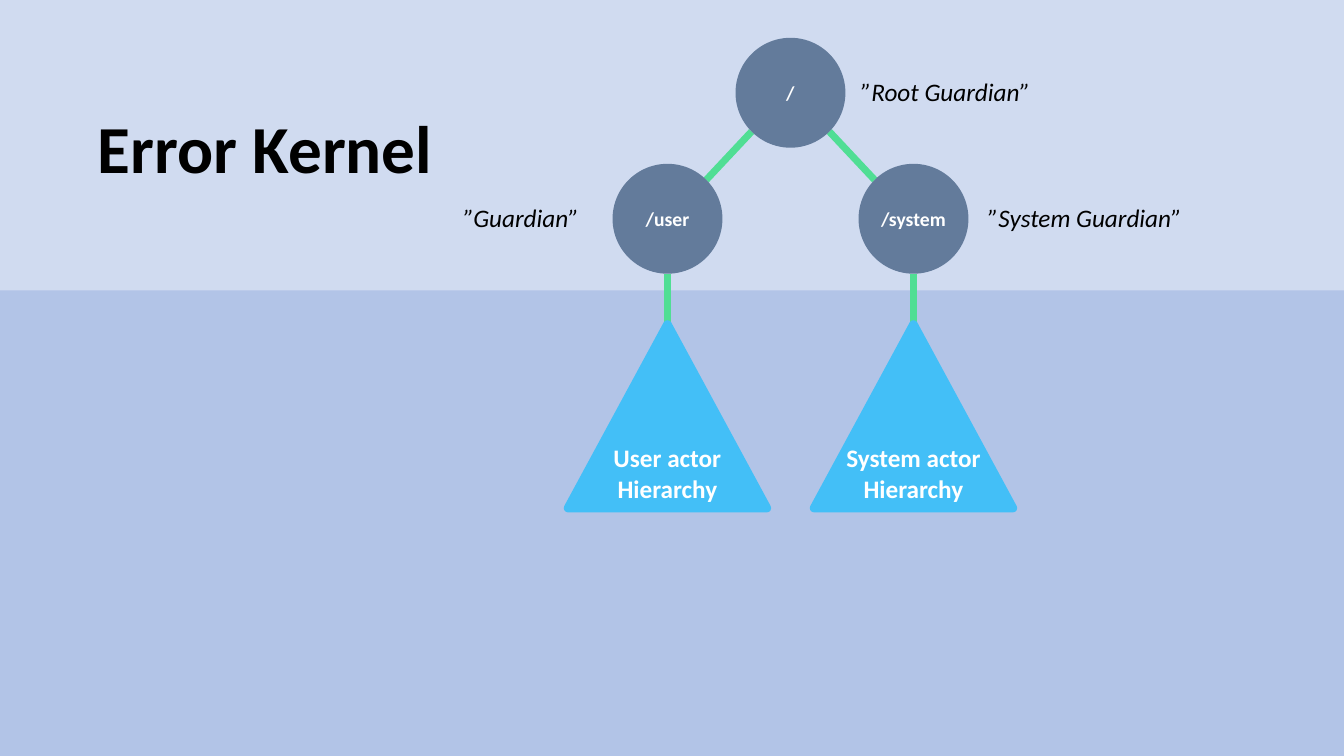
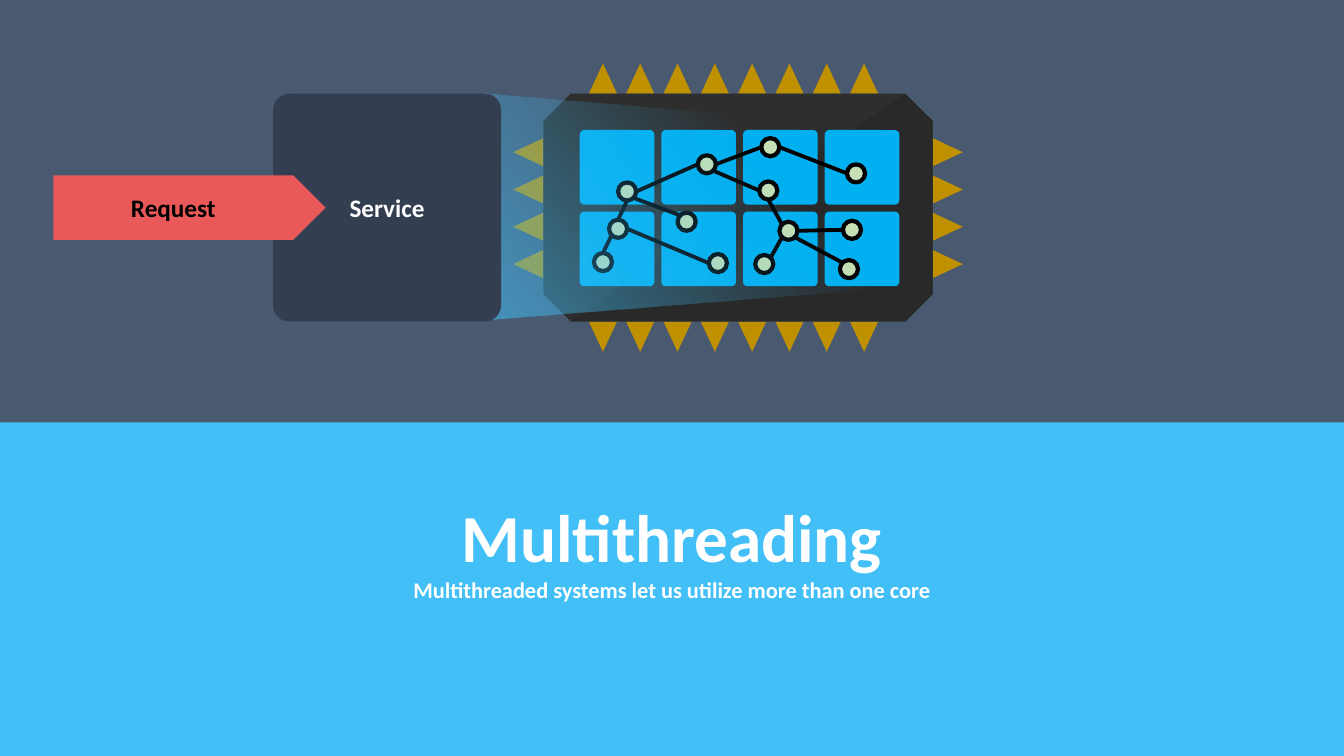
from lxml import etree
from pptx import Presentation, util as u
from pptx.dml.color import RGBColor
from pptx.enum import shapes, text
from pptx.oxml import parse_xml
from pptx.oxml.ns import nsdecls, qn

W, H = 13.33, 7.5
FONT = "Calibri"
BLACK, WHITE, SKY = "000000", "FFFFFF", "43BFF7"
SLATE, GREEN, PERIWINKLE = "637B9B", "50DE94", "B2C4E7"
NIGHT, NAVY, CORAL = "485970", "333F50", "E95959"
GOLD, CHIP, CHIP_SHADE, CORE, THREAD = "BF9000", "2E2E2E", "292929", "00B0F0", "C5E0B4"
KIND = shapes.MSO_SHAPE
LEFT, CENTER = text.PP_ALIGN.LEFT, text.PP_ALIGN.CENTER
TOP, MIDDLE, BOTTOM = (text.MSO_ANCHOR.TOP, text.MSO_ANCHOR.MIDDLE,
                       text.MSO_ANCHOR.BOTTOM)
DIAGONAL = 0.5 ** 0.5
COMPASS = {"n": (0, -1), "s": (0, 1), "w": (-1, 0), "e": (1, 0),
           "nw": (-DIAGONAL, -DIAGONAL), "ne": (DIAGONAL, -DIAGONAL),
           "sw": (-DIAGONAL, DIAGONAL), "se": (DIAGONAL, DIAGONAL)}


def paint(fmt, color):
    """Give a fill a solid hex colour."""
    fmt.solid()
    fmt.fore_color.rgb = RGBColor.from_string(color)


def style(sp, fill, line=None, width=0):
    """Set fill and outline of a shape and remove its shadow."""
    sp.shadow.inherit = False
    paint(sp.fill, fill)
    if line:
        paint(sp.line.fill, line)
        sp.line.width = u.Pt(width)
    else:
        sp.line.fill.background()
    return sp


def write(tf, lines, size, color, bold=True, italic=False, align=CENTER,
          anchor=MIDDLE, wrap=True):
    """Write one paragraph for each line of text."""
    tf.word_wrap, tf.vertical_anchor = wrap, anchor
    for i, line in enumerate(lines):
        p = tf.add_paragraph() if i else tf.paragraphs[0]
        p.alignment = align
        add_run(p, line, size, color, bold, italic)


def add_run(p, words, size, color, bold=True, italic=False):
    """Add one formatted run to a paragraph."""
    r = p.add_run()
    r.text = words
    r.font.name, r.font.size = FONT, u.Pt(size)
    r.font.bold, r.font.italic = bold, italic
    r.font.color.rgb = RGBColor.from_string(color)


def shape(s, kind, box, fill, line=None, width=0, adj=()):
    """Add a preset shape in a box of left, top, width, height."""
    sp = s.shapes.add_shape(kind, *map(u.Inches, box))
    for i, value in enumerate(adj):
        sp.adjustments[i] = value
    return style(sp, fill, line, width)


def ball(s, center, radius, fill, line=None, width=0):
    """Add a circle around a centre."""
    x, y = center
    return shape(s, KIND.OVAL, (x - radius, y - radius, 2 * radius, 2 * radius),
                 fill, line, width)


def rim(center, radius, side):
    """Return the point of a circle that lies in a compass direction."""
    dx, dy = COMPASS[side]
    return center[0] + radius * dx, center[1] + radius * dy


def link(s, start, end, color, width):
    """Draw a straight line between two points."""
    c = s.shapes.add_connector(shapes.MSO_CONNECTOR.STRAIGHT,
                               *map(u.Inches, (*start, *end)))
    paint(c.line.fill, color)
    c.line.width = u.Pt(width)
    etree.SubElement(c._element.spPr, qn("a:effectLst"))


def polygon(s, points, fill):
    """Add a closed outline through the points."""
    first, *rest = [(u.Inches(x), u.Inches(y)) for x, y in points]
    fb = s.shapes.build_freeform(*first)
    fb.add_line_segments(rest, close=True)
    return style(fb.convert_to_shape(), fill)


def label(s, box, words):
    """Add an italic caption."""
    tb = s.shapes.add_textbox(*map(u.Inches, box))
    write(tb.text_frame, [words], 18, BLACK, False, True, LEFT, TOP, False)


def title(s, box, words, color, align, anchor):
    """Place the title in front of what is drawn so far and return it."""
    sp = s.shapes.title
    s.shapes._spTree.append(sp._element)
    sp.left, sp.top, sp.width, sp.height = map(u.Inches, box)
    sp.text_frame.auto_size = text.MSO_AUTO_SIZE.NONE
    write(sp.text_frame, [words], 48, color, align=align, anchor=anchor)
    return sp


def new_slide(prs, background):
    """Add a title-only slide with a plain background."""
    s = prs.slides.add_slide(prs.slide_layouts[5])
    paint(s.background.fill, background)
    return s


def error_kernel(prs):
    """Build the slide with the guardian tree."""
    s = new_slide(prs, PERIWINKLE)
    band = shape(s, KIND.RECTANGLE, (0, 0, W, 2.88), WHITE)
    tint = band._element.spPr.find(".//" + qn("a:srgbClr"))
    etree.SubElement(tint, qn("a:alpha"), val="40000")
    title(s, (0.87, 1, 4.36, 0.91), "Error Kernel", BLACK, LEFT, TOP)

    radius, tree_top, tree_w, tree_h = 1.09 / 2, 3.22, 1.97, 1.82
    root, user, system = (7.84, 0.92), (6.62, 2.17), (9.06, 2.17)
    for child, out, into in ((user, "sw", "ne"), (system, "se", "nw")):
        link(s, rim(root, radius, out), rim(child, radius, into), GREEN, 5)
    for guardian, owner in ((user, "User"), (system, "System")):
        x = guardian[0]
        link(s, rim(guardian, radius, "s"), (x, tree_top), GREEN, 5)
        sp = shape(s, KIND.ISOSCELES_TRIANGLE,
                   (x - tree_w / 2, tree_top, tree_w, tree_h), SKY, SKY, 6.25)
        write(sp.text_frame, [owner + " actor", "Hierarchy"], 18, WHITE,
              anchor=BOTTOM, wrap=False)
    for center, name in ((root, "/"), (user, "/user"), (system, "/system")):
        sp = ball(s, center, radius, SLATE)
        write(sp.text_frame, [name], 14, WHITE, wrap=False)
    label(s, (8.44, 0.71, 1.9, 0.4), "”Root Guardian”")
    label(s, (4.5, 1.96, 1.36, 0.4), "”Guardian”")
    label(s, (9.7, 1.96, 2.14, 0.4), "”System Guardian”")


def processor(s):
    """Draw the chip with its pins and cores."""
    left, top, right, bottom, cut = 5.39, 0.93, 9.25, 3.19, 0.27
    pitch, half, length = 0.37, 0.14, 0.3
    for i in range(8):
        x = 5.98 + i * pitch
        for edge, tip in ((top, top - length), (bottom, bottom + length)):
            polygon(s, [(x, tip), (x + half, edge), (x - half, edge)], GOLD)
    for i in range(4):
        y = 1.51 + i * pitch
        for edge, tip in ((left, left - length), (right, right + length)):
            polygon(s, [(tip, y), (edge, y + half), (edge, y - half)], GOLD)
    shape(s, KIND.OCTAGON, (left, top, right - left, bottom - top), CHIP, adj=[0.12])
    polygon(s, [(5.66, bottom), (right - cut, top), (right, top + cut),
                (right, bottom - cut), (right - cut, bottom)], CHIP_SHADE)
    core, step = 0.74, 0.81
    for row in range(2):
        for col in range(4):
            shape(s, KIND.ROUNDED_RECTANGLE,
                  (5.75 + col * step, 1.29 + row * step, core, core),
                  CORE, adj=[0.06])


def threads(s):
    """Draw the network of threads over the cores."""
    radius = 0.09
    nodes = {"a": (7.01, 1.63), "b": (6.22, 1.9), "c": (6.13, 2.27),
             "d": (5.98, 2.6), "e": (6.81, 2.2), "f": (7.12, 2.61),
             "g": (7.64, 1.46), "h": (8.49, 1.72), "i": (7.62, 1.89),
             "j": (7.82, 2.29), "k": (7.58, 2.62), "l": (8.42, 2.67),
             "m": (8.45, 2.28)}
    edges = ("a w b e", "b s c n", "c sw d n", "b se e nw", "c e f w",
             "i s j nw", "j sw k ne", "j se l nw", "a se i w", "j e m w",
             "g w a e", "g e h w")
    for edge in edges:
        start, out, end, into = edge.split()
        link(s, rim(nodes[start], radius, out), rim(nodes[end], radius, into),
             BLACK, 2.75)
    for center in nodes.values():
        ball(s, center, radius, THREAD, BLACK, 3)


def beam(s):
    """Draw the fading light between service and chip."""
    sp = polygon(s, [(4.81, 0.93), (8.88, 1.27), (8.95, 1.3), (8.98, 1.37),
                     (8.98, 2.75), (8.95, 2.82), (8.88, 2.85), (4.84, 3.17)], SKY)
    stops = "".join(
        f'<a:gs pos="{pos}000"><a:srgbClr val="{SKY}"><a:alpha val="{alpha}000"/>'
        "</a:srgbClr></a:gs>" for pos, alpha in ((0, 56), (68, 0)))
    fade = parse_xml(f'<a:gradFill {nsdecls("a")} rotWithShape="1"><a:gsLst>{stops}'
                     f'</a:gsLst><a:lin ang="{320 * 60000}" scaled="0"/></a:gradFill>')
    solid = sp._element.spPr.find(qn("a:solidFill"))
    sp._element.spPr.replace(solid, fade)


def multithreading(prs):
    """Build the slide with the request, the service and the chip."""
    s = new_slide(prs, NIGHT)
    processor(s)
    threads(s)
    panel_top = 4.19
    panel = title(s, (0, panel_top, W, H - panel_top), "Multithreading",
                  WHITE, CENTER, MIDDLE)
    paint(panel.fill, SKY)
    panel.text_frame.margin_bottom = u.Inches(0.84)
    p = panel.text_frame.paragraphs[0]
    p.add_line_break()
    add_run(p, "Multithreaded systems let us utilize more than one core", 16, WHITE)
    beam(s)
    service = shape(s, KIND.ROUNDED_RECTANGLE, (2.71, 0.93, 2.26, 2.26), NAVY,
                    adj=[0.07])
    write(service.text_frame, ["Service"], 18, WHITE)
    request = shape(s, KIND.RIGHT_ARROW, (0.53, 1.74, 2.7, 0.64), CORAL,
                    adj=[1, 0.5])
    write(request.text_frame, ["Request"], 18, BLACK)


def main():
    """Build and save the presentation."""
    prs = Presentation()
    prs.slide_width, prs.slide_height = u.Inches(W), u.Inches(H)
    error_kernel(prs)
    multithreading(prs)
    prs.save("out.pptx")


main()
